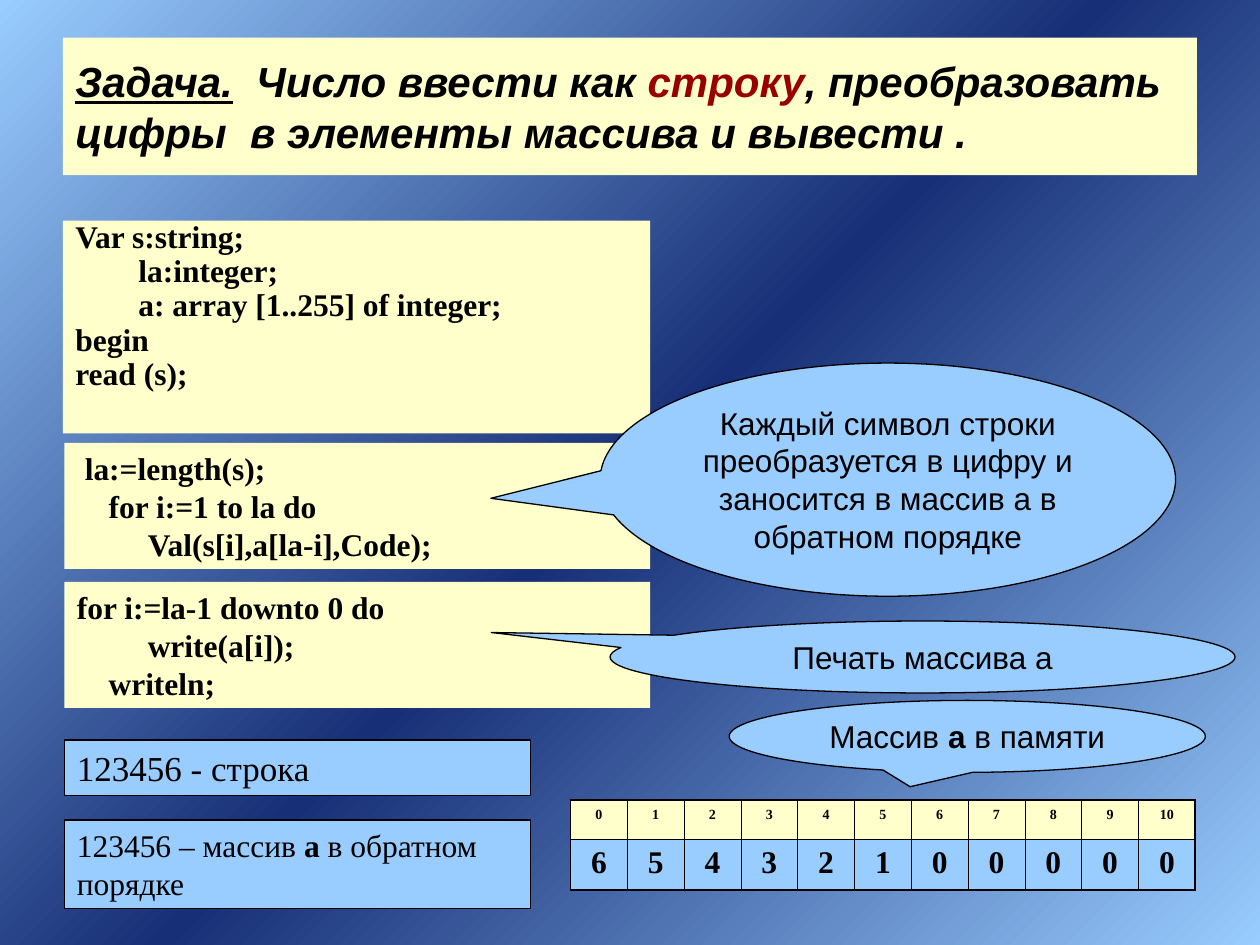
from copy import deepcopy

from lxml import etree
from pptx import Presentation
from pptx import util as u
from pptx.dml.color import RGBColor
from pptx.enum import shapes, text
from pptx.oxml.ns import qn

Cm, Pt = u.Cm, u.Pt
BLACK = RGBColor(0x00, 0x00, 0x00)
CREAM = RGBColor(0xFF, 0xFF, 0xCC)
SKY = RGBColor(0x99, 0xCC, 0xFF)
NAVY = RGBColor(0x17, 0x2F, 0x76)
RED = RGBColor(0x99, 0x00, 0x00)

SANS = {"name": "Arial", "size": Pt(18)}
SERIF = {"name": "Times New Roman", "size": Pt(18)}
CODE = {**SERIF, "bold": True}
INSETS = {"margin_left": Cm(0.25), "margin_right": Cm(0.25),
          "margin_top": Cm(0.13), "margin_bottom": Cm(0.13)}
LEFT = text.PP_ALIGN.LEFT
CENTER = text.PP_ALIGN.CENTER
RECT = shapes.MSO_SHAPE.RECTANGLE
CALLOUT = shapes.MSO_SHAPE.OVAL_CALLOUT


def apply(obj, values):
    for name, value in values.items():
        setattr(obj, name, value)


def add_run(p, content, font, color=BLACK):
    r = p.add_run()
    r.text = content
    apply(r.font, font)
    r.font.color.rgb = color


def paint_background(s):
    """Diagonal gradient: light corners, dark middle."""
    fill = s.background.fill
    fill.gradient()
    fill.gradient_angle = 135
    stops = s.element.find(".//" + qn("a:gsLst"))
    stops.insert(1, deepcopy(stops[0]))
    for stop, position, color in zip(fill.gradient_stops, (0, 0.5, 1), (SKY, NAVY, SKY)):
        stop.position = position
        stop.color.rgb = color


def add_panel(s, box, fill, kind=RECT, outlined=False, anchor=text.MSO_ANCHOR.TOP):
    """Filled shape ready for text; returns the shape."""
    sp = s.shapes.add_shape(kind, *map(Cm, box))
    sp.shadow.inherit = False
    sp.fill.solid()
    sp.fill.fore_color.rgb = fill
    if outlined:
        sp.line.color.rgb = BLACK
        sp.line.width = Pt(0.75)
    else:
        sp.line.fill.background()
    apply(sp.text_frame, {**INSETS, "word_wrap": True, "vertical_anchor": anchor})
    return sp


def write_runs(sp, runs, font, align=LEFT):
    """One paragraph; each run is (text, font changes[, color])."""
    p = sp.text_frame.paragraphs[0]
    p.alignment = align
    for content, changes, *color in runs:
        add_run(p, content, {**font, **changes}, *color)


def add_code(s, box, lines, spacing=None):
    """Code listing; each line is (indent in cm, text)."""
    tf = add_panel(s, box, CREAM).text_frame
    for i, (indent, content) in enumerate(lines):
        p = tf.paragraphs[0] if i == 0 else tf.add_paragraph()
        apply(p, {"alignment": LEFT, **(spacing or {})})
        if indent:
            p._p.get_or_add_pPr().set("marL", str(Cm(indent)))
        add_run(p, content, CODE)


def add_callout(s, box, tip, runs):
    sp = add_panel(s, box, SKY, CALLOUT, outlined=True)
    sp.adjustments[0], sp.adjustments[1] = tip
    write_runs(sp, runs, SANS, CENTER)


def set_border(cell, side, width):
    ln = etree.SubElement(cell._tc.get_or_add_tcPr(), qn("a:ln" + side), w=str(Pt(width)))
    solid = etree.SubElement(ln, qn("a:solidFill"))
    etree.SubElement(solid, qn("a:srgbClr"), val=str(BLACK))


def add_memory_table(s, box, rows):
    """Each row is (height, fill, size, space before, values)."""
    n_rows, n_cols = len(rows), len(rows[0][-1])
    table = s.shapes.add_table(n_rows, n_cols, *map(Cm, box)).table
    apply(table, {"first_row": False, "horz_banding": False})
    for col in table.columns:
        col.width = Cm(box[2] / n_cols)
    for i, (height, fill, size, before, values) in enumerate(rows):
        table.rows[i].height = Cm(height)
        for j, value in enumerate(values):
            cell = table.cell(i, j)
            apply(cell, INSETS)
            # Thick outer frame, thin inner grid
            outer = {"L": j == 0, "R": j == n_cols - 1, "T": i == 0, "B": i == n_rows - 1}
            for side, is_outer in outer.items():
                set_border(cell, side, 1.08 if is_outer else 0.45)
            cell.fill.solid()
            cell.fill.fore_color.rgb = fill
            p = cell.text_frame.paragraphs[0]
            apply(p, {"alignment": CENTER, "space_before": Pt(before)})
            add_run(p, str(value), {**CODE, "size": Pt(size)})


def main():
    prs = Presentation()
    prs.slide_width, prs.slide_height = Cm(25.4), Cm(19.05)
    s = prs.slides.add_slide(prs.slide_layouts[6])
    paint_background(s)

    # Task statement
    title = add_panel(s, (1.27, 0.76, 22.86, 2.77), CREAM, anchor=text.MSO_ANCHOR.MIDDLE)
    write_runs(title, [
        ("Задача.", {"underline": True}),
        ("  Число ввести как ", {}),
        ("строку", {}, RED),
        (", преобразовать цифры  в элементы массива и вывести .", {}),
    ], {"name": "Arial", "size": Pt(24), "bold": True, "italic": True})

    # Declarations and input
    add_code(s, (1.27, 4.45, 11.84, 4.29), [
        (0, "Var s:string;"),
        (1.27, "la:integer;"),
        (1.27, "a: array [1..255] of integer;"),
        (0, "begin"),
        (0, "read (s);"),
    ], {"line_spacing": 0.7, "space_before": Pt(4.5)})

    # Example values
    sample = add_panel(s, (1.3, 14.92, 9.4, 1.12), SKY, outlined=True)
    write_runs(sample, [("123456 - строка", {"size": Pt(20)})], SERIF)
    reverse = add_panel(s, (1.3, 16.53, 9.4, 1.78), SKY, outlined=True)
    write_runs(reverse, [("123456 – массив", {}), (" а ", {"bold": True}),
                         ("в обратном порядке", {})], SERIF)

    # Conversion and output loops
    add_code(s, (1.3, 8.93, 11.81, 2.54), [
        (0.16, "la:=length(s);"),
        (0.64, "for i:=1 to la do"),
        (1.43, "Val(s[i],a[la-i],Code);"),
    ])
    add_code(s, (1.3, 11.73, 11.81, 2.54), [
        (0, "for i:=la-1 downto 0 do"),
        (1.43, "write(a[i]);"),
        (0.64, "writeln;"),
    ])

    # Array in memory
    digits = [6, 5, 4, 3, 2, 1, 0, 0, 0, 0, 0]
    add_memory_table(s, (11.5, 16.13, 12.6, 1.81), [
        (0.79, CREAM, 8, 2, range(len(digits))),
        (1.02, SKY, 18, 4.5, digits),
    ])

    # Explanations
    add_callout(s, (12.1, 7.32, 11.6, 4.7), (-0.69, 0.08), [
        ("Каждый символ строки преобразуется в цифру и "
         "заносится в массив a в обратном порядке", {})])
    add_callout(s, (14.7, 14.12, 9.6, 1.45), (-0.12, 0.7), [
        ("Массив ", {}), ("а", {"bold": True}), (" в памяти", {})])
    add_callout(s, (12.3, 12.52, 12.6, 1.45), (-0.69, -0.34), [
        ("Печать массива а", {})])

    prs.save("out.pptx")


if __name__ == "__main__":
    main()
